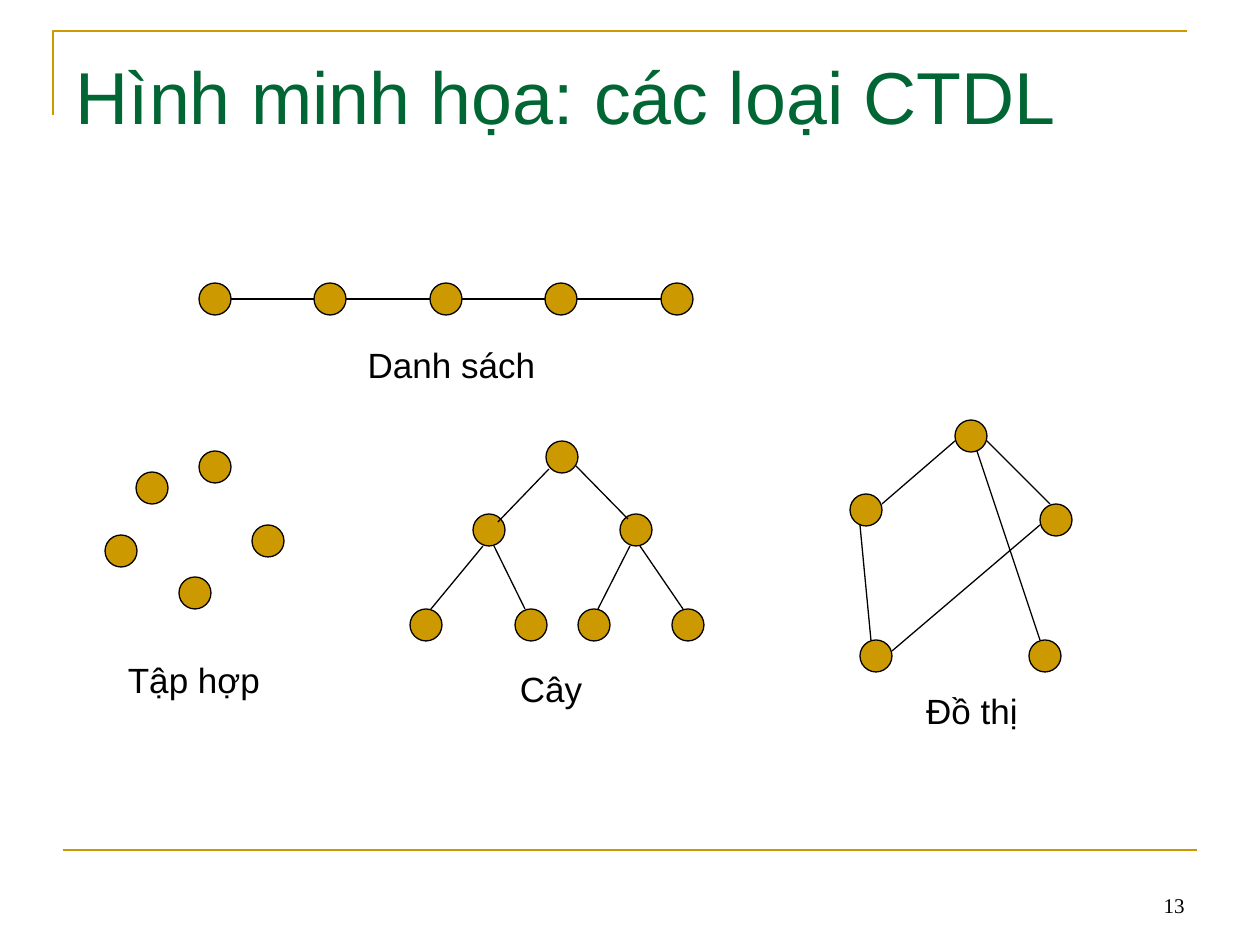
from pptx import Presentation
from pptx.dml.color import RGBColor
from pptx.enum.shapes import MSO_CONNECTOR as CONN, MSO_SHAPE as SHAPE
from pptx.enum.text import MSO_ANCHOR as ANCHOR, MSO_AUTO_SIZE as AUTO, PP_ALIGN as ALIGN
from pptx.oxml.ns import qn
from pptx.util import Emu, Pt
from lxml import etree

PX = 914400 // 126
GOLD, GREEN, BLACK = "CC9900", "006633", "000000"
NODE = 32
LIST_XS = [i * 462 // 4 for i in range(5)]

# box origin, nodes, edges and caption box, each relative to the origin
DIAGRAMS = [
    dict(origin=(199, 283), caption="Danh sách", caption_box=(137, 51, 231, 55),
         nodes=[(x, 0) for x in LIST_XS],
         edges=[(a + NODE, 16, b, 16) for a, b in zip(LIST_XS, LIST_XS[1:])]),
    dict(origin=(105, 451), caption="Tập hợp", caption_box=(-11, 198, 200, 55),
         nodes=[(31, 21), (94, 0), (0, 84), (74, 126), (147, 74)], edges=[]),
    dict(origin=(410, 441), caption="Cây", caption_box=(41, 218, 200, 55),
         nodes=[(136, 0), (63, 73), (210, 73),
                (0, 168), (105, 168), (168, 168), (262, 168)],
         edges=[(88, 81, 139, 28), (218, 78, 166, 25), (21, 168, 73, 105),
                (188, 168, 220, 105), (115, 168, 84, 105), (273, 168, 230, 105)]),
    dict(origin=(850, 420), caption="Đồ thị", caption_box=(22, 260, 200, 55),
         nodes=[(0, 74), (105, 0), (10, 220), (179, 220), (190, 84)],
         edges=[(190, 220, 127, 31), (42, 231, 190, 105), (200, 84, 137, 21),
                (21, 220, 10, 105), (32, 84, 105, 21)]),
]


def px(*values):
    """Turn picture pixels into EMU."""
    return [Emu(v * PX) for v in values]


def rgb(value):
    """Make a colour from a hex string."""
    return RGBColor.from_string(value)


def set_line(sp, color, width):
    """Set the colour and width of an outline."""
    sp.line.color.rgb = rgb(color)
    sp.line.width = Pt(width)


def write(sp, text, size, color, font="Arial", align=ALIGN.LEFT, **frame):
    """Put one formatted paragraph into a shape."""
    tf = sp.text_frame
    for name, value in dict(word_wrap=True, auto_size=AUTO.NONE, **frame).items():
        setattr(tf, name, value)
    p = tf.paragraphs[0]
    p.alignment = align
    r = p.add_run()
    r.text = text
    for name, value in dict(size=Pt(size), name=font).items():
        setattr(r.font, name, value)
    r.font.color.rgb = rgb(color)


def add_line(shapes, ends, color, width):
    """Draw a straight line without a shadow."""
    cn = shapes.add_connector(CONN.STRAIGHT, *px(*ends))
    set_line(cn, color, width)
    etree.SubElement(cn._element.spPr, qn("a:effectLst"))


def add_frame(s, x, y, w, h):
    """Draw the corner rule at the top and the rule at the foot."""
    fb = s.shapes.build_freeform(x, y + h, scale=PX)
    fb.add_line_segments([(x, y), (x + w, y)], close=False)
    sp = fb.convert_to_shape()
    sp.fill.background()
    sp.shadow.inherit = False
    set_line(sp, GOLD, 1.5)
    add_line(s.shapes, (x + 10, y + 819, x + 10 + w, y + 819), GOLD, 1.5)


def add_title(s, *box):
    """Place and format the title placeholder."""
    sp = s.shapes.title
    sp.left, sp.top, sp.width, sp.height = px(*box)
    write(sp, "Hình minh họa: các loại CTDL", 42, GREEN,
          vertical_anchor=ANCHOR.TOP, margin_top=px(13)[0])


def add_number(s, *box):
    """Write the page number at the bottom right."""
    write(s.shapes.add_textbox(*px(*box)), "13", 12, BLACK, "Times New Roman",
          ALIGN.RIGHT, vertical_anchor=ANCHOR.BOTTOM)


def add_diagram(s, origin, nodes, edges, caption, caption_box):
    """Draw one captioned diagram of nodes and edges as a group."""
    x, y = origin
    shapes = s.shapes.add_group_shape().shapes
    for left, top in nodes:
        sp = shapes.add_shape(SHAPE.OVAL, *px(x + left, y + top, NODE, NODE))
        sp.shadow.inherit = False
        sp.fill.solid()
        sp.fill.fore_color.rgb = rgb(GOLD)
        set_line(sp, BLACK, 0.74)
    for x1, y1, x2, y2 in edges:
        add_line(shapes, (x + x1, y + y1, x + x2, y + y2), BLACK, 0.74)
    left, top, w, h = caption_box
    write(shapes.add_textbox(*px(x + left, y + top, w, h)), caption, 20, BLACK,
          align=ALIGN.CENTER, margin_top=px(9)[0])


prs = Presentation()
prs.slide_width, prs.slide_height = px(1260, 945)
s = prs.slides.add_slide(prs.slide_layouts[5])
add_frame(s, 53, 31, 1134, 84)
add_title(s, 63, 38, 1134, 157)
add_number(s, 903, 861, 294, 63)
for diagram in DIAGRAMS:
    add_diagram(s, **diagram)
prs.save("out.pptx")
